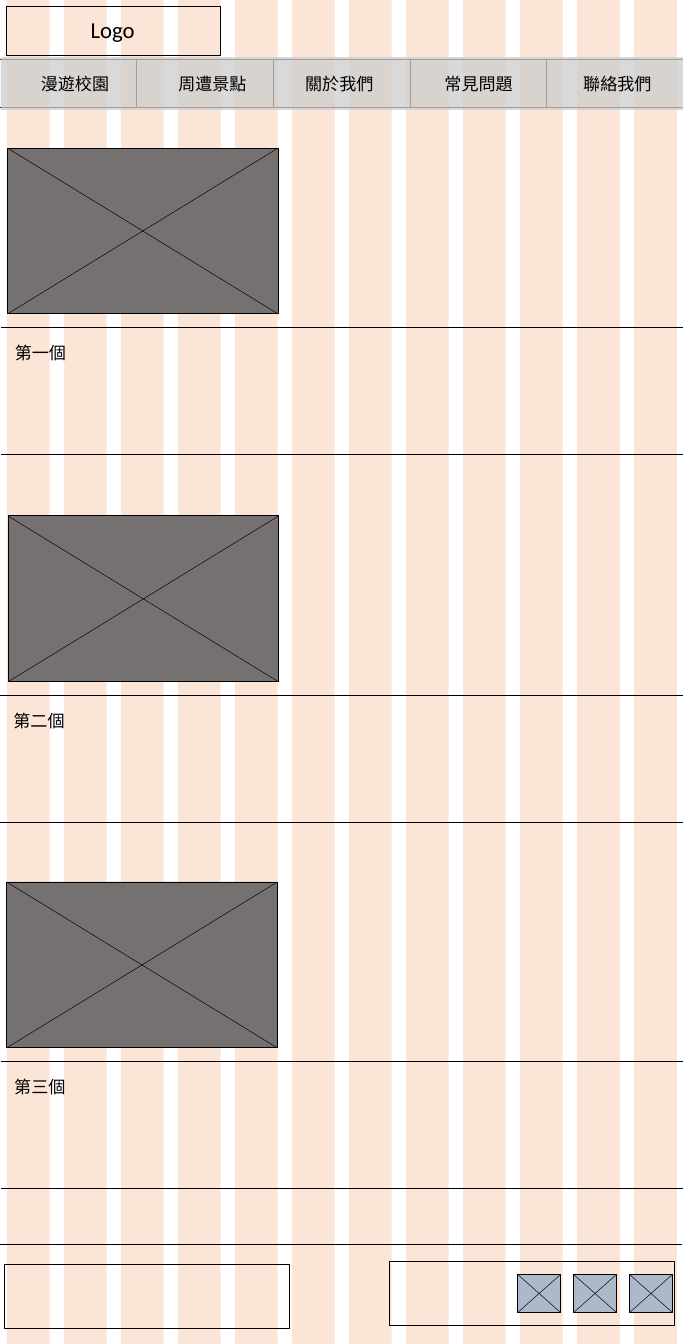
from typing import NamedTuple, Optional

from lxml import etree
from pptx import Presentation
from pptx.dml.color import RGBColor
from pptx.enum.shapes import MSO_CONNECTOR, MSO_SHAPE
from pptx.enum.text import MSO_AUTO_SIZE
from pptx.oxml.ns import qn
from pptx.util import Cm, Pt

RECT = MSO_SHAPE.RECTANGLE
STRAIGHT = MSO_CONNECTOR.STRAIGHT
GROW = MSO_AUTO_SIZE.SHAPE_TO_FIT_TEXT

WIDE, HIGH = 25.4, 50.01
BLACK, PEACH, GREY, BLUE, SILVER = "000000", "FBE5D6", "767171", "ADB9CA", "D0CECE"
LATIN, HAN = "Calibri", "Noto Sans CJK SC"
NAV_TOP, NAV_END, NAV_STEP = 2.21, 3.99, 5.08


class Box(NamedTuple):
    """A rectangle in centimetres."""
    left: float
    top: float
    width: float
    height: float


class Tab(NamedTuple):
    """One entry of the menu."""
    text: str
    left: float
    font: str


class Entry(NamedTuple):
    """A photo with a ruled caption band below it."""
    text: str
    photo: float
    rule: float
    top: float


TABS = [
    Tab("漫遊校園", 1.27, HAN),
    Tab("周遭景點", 6.38, HAN),
    Tab("關於我們", 11.1, LATIN),
    Tab("常見問題", 16.28, LATIN),
    Tab("聯絡我們", 21.44, LATIN),
]
ENTRIES = [
    Entry("第一個", 0.28, 0.05, 5.51),
    Entry("第二個", 0.3, 0, 19.2),
    Entry("第三個", 0.25, 0.03, 32.82),
]

deck = Presentation()
deck.slide_width, deck.slide_height = Cm(WIDE), Cm(HIGH)
page = deck.slides.add_slide(deck.slide_layouts[6])


def color(code: str) -> RGBColor:
    """Turn a hex string into a colour."""
    return RGBColor.from_string(code)


def add_box(box: Box, fill: Optional[str] = None, edge: bool = True,
            alpha: Optional[int] = None) -> None:
    """Draw a rectangle; alpha is its opacity in percent."""
    shape = page.shapes.add_shape(RECT, *map(Cm, box))
    shape.shadow.inherit = False
    if fill:
        shape.fill.solid()
        shape.fill.fore_color.rgb = color(fill)
    else:
        shape.fill.background()
    if edge:
        shape.line.color.rgb = color(BLACK)
        shape.line.width = Pt(1)
    else:
        shape.line.fill.background()
    if alpha is not None:
        tint = shape.fill._xPr.find(".//" + qn("a:srgbClr"))
        etree.SubElement(tint, qn("a:alpha"), val=str(alpha * 1000))


def add_line(x1: float, y1: float, x2: float, y2: float) -> None:
    """Draw a thin black line."""
    line = page.shapes.add_connector(STRAIGHT, Cm(x1), Cm(y1), Cm(x2), Cm(y2))
    line.line.color.rgb = color(BLACK)
    line.line.width = Pt(0.5)
    etree.SubElement(line._element.spPr, qn("a:effectLst"))


def add_rule(left: float, top: float) -> None:
    """Draw a line as wide as the page."""
    add_line(left, top, left + WIDE, top)


def add_text(text: str, box: Box, size: int = 18, font: str = LATIN) -> None:
    """Place one line of text."""
    shape = page.shapes.add_textbox(*map(Cm, box))
    frame = shape.text_frame
    frame.word_wrap = False
    frame.auto_size = GROW
    para = frame.paragraphs[0]
    para.text = text
    para.font.size = Pt(size)
    para.font.name = font
    para.font.color.rgb = color(BLACK)


def add_photo(box: Box, fill: str) -> None:
    """Draw a crossed box that stands for a photo."""
    add_box(box, fill)
    right, low = box.left + box.width, box.top + box.height
    add_line(right, box.top, box.left, low)
    add_line(box.left, box.top, right, low)


def add_entry(entry: Entry) -> None:
    """Draw a photo, its two rules and its caption."""
    add_photo(Box(entry.photo, entry.top, 10.06, 6.17), GREY)
    rule = entry.top + 6.66
    add_rule(entry.rule, rule)
    add_rule(entry.rule, rule + 4.72)
    add_text(entry.text, Box(entry.rule + 0.25, rule + 0.45, 2.44, 1.02))


def add_header() -> None:
    """Draw the logo box and the menu."""
    add_box(Box(0.25, 0.23, 7.95, 1.85))
    add_text("Logo", Box(3.12, 0.46, 2.16, 1.27), 24)
    for top in (NAV_TOP, NAV_END):
        add_rule(0, top)
    for i in range(1, len(TABS)):
        add_line(i * NAV_STEP, NAV_TOP, i * NAV_STEP, NAV_END)
    add_box(Box(0.03, 2.13, WIDE, 1.96), SILVER, edge=False, alpha=77)
    for tab in TABS:
        add_text(tab.text, Box(tab.left, 2.62, 3.07, 1.02), font=tab.font)


def add_footer() -> None:
    """Draw the bottom rule, two boxes and three icons."""
    add_rule(-0.05, 46.28)
    add_box(Box(0.18, 47.04, 10.59, 2.39))
    add_box(Box(14.5, 46.94, 10.59, 2.39))
    for i in range(3):
        add_photo(Box(19.25 + i * 2.08, 47.42, 1.6, 1.42), BLUE)


for i in range(12):
    add_box(Box(0.26 + i * 2.12, 0, 1.59, HIGH), PEACH, edge=False)
add_header()
for entry in ENTRIES:
    add_entry(entry)
add_footer()

deck.save("out.pptx")
